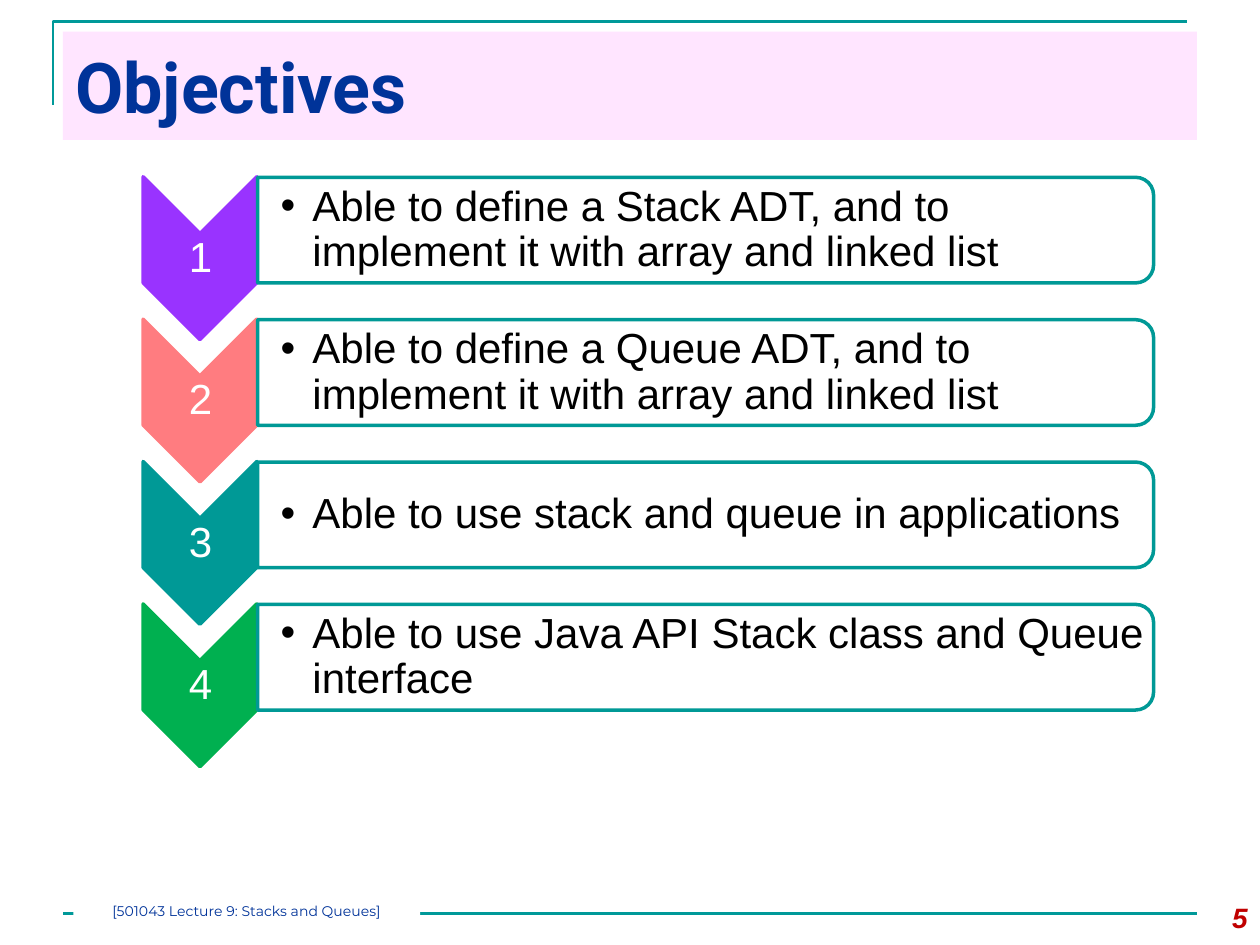
import pptx
import pptx.dml.color
import pptx.enum.shapes
import pptx.enum.text
import pptx.oxml
import pptx.oxml.ns
import pptx.util
from pptx.util import Cm

COLORS = {
    "teal": "009999", "panel line": "009996", "navy": "003399", "pink": "FF99FF",
    "red": "C00000", "white": "FFFFFF", "black": "000000",
}
GOALS = [
    ("9933FF", "Able to define a Stack ADT, and to implement it with array and linked list"),
    ("FF7C80", "Able to define a Queue ADT, and to implement it with array and linked list"),
    ("009996", "Able to use stack and queue in applications"),
    ("00B050", "Able to use Java API Stack class and Queue interface"),
]
STEP = 2.87
SHAPE = pptx.enum.shapes.MSO_SHAPE
ALIGN = pptx.enum.text.PP_ALIGN
ANCHOR = pptx.enum.text.MSO_ANCHOR
rgb = pptx.dml.color.RGBColor.from_string


def paint(shape, fill=None, opacity=100, line=None, width=2):
    shape.shadow.inherit = False
    if fill:
        shape.fill.solid()
        shape.fill.fore_color.rgb = rgb(fill)
        if opacity < 100:
            color = shape.fill._xPr.find(".//" + pptx.oxml.ns.qn("a:srgbClr"))
            alpha = pptx.oxml.parse_xml(f"<a:alpha {pptx.oxml.ns.nsdecls('a')} val='{opacity * 1000}'/>")
            color.append(alpha)
    else:
        shape.fill.background()
    if line:
        shape.line.color.rgb = rgb(line)
        shape.line.width = pptx.util.Pt(width)
    else:
        shape.line.fill.background()


def write(shape, text, size=24, font="Arial", color="black", bold=False, italic=False,
          align=ALIGN.LEFT, anchor=ANCHOR.TOP, insets=(0.25, 0.13, 0.25, 0.13),
          spacing=None, bullet=False):
    frame = shape.text_frame
    frame.word_wrap = True
    frame.vertical_anchor = anchor
    frame.margin_left, frame.margin_top, frame.margin_right, frame.margin_bottom = map(Cm, insets)
    paragraph = frame.paragraphs[0]
    paragraph.alignment = align
    paragraph.line_spacing = spacing
    run = paragraph.add_run()
    run.text = text
    run.font.size = pptx.util.Pt(size)
    run.font.name = font
    run.font.bold = bold
    run.font.italic = italic
    run.font.color.rgb = rgb(COLORS[color])
    if bullet:
        properties = paragraph._p.get_or_add_pPr()
        properties.set("marL", str(Cm(0.64)))
        properties.set("indent", str(-Cm(0.64)))
        names = pptx.oxml.ns.nsdecls("a")
        properties.append(pptx.oxml.parse_xml(f"<a:buFont {names} typeface='Arial'/>"))
        properties.append(pptx.oxml.parse_xml(f"<a:buChar {names} char='•'/>"))


deck = pptx.Presentation()
deck.slide_width, deck.slide_height = Cm(25.4), Cm(19.05)
slide = deck.slides.add_slide(deck.slide_layouts[6])
shapes = slide.shapes

# Corner rule and footer rule
corner = shapes.build_freeform(Cm(1.07), Cm(2.11))
corner.add_line_segments([(Cm(1.07), Cm(0.43)), (Cm(23.93), Cm(0.43))], close=False)
paint(corner.convert_to_shape(), line=COLORS["teal"], width=1.5)

footer_rule = shapes.add_connector(
    pptx.enum.shapes.MSO_CONNECTOR.STRAIGHT, Cm(1.27), Cm(18.42), Cm(24.13), Cm(18.42))
footer_rule.line.color.rgb = rgb(COLORS["teal"])
footer_rule.line.width = pptx.util.Pt(1.5)
footer_rule._element.spPr.append(
    pptx.oxml.parse_xml(f"<a:effectLst {pptx.oxml.ns.nsdecls('a')}/>"))

# Title band
title = shapes.add_shape(SHAPE.RECTANGLE, Cm(1.27), Cm(0.64), Cm(22.86), Cm(2.18))
paint(title, fill=COLORS["pink"], opacity=25)
write(title, "Objectives", size=40, font="Roboto", color="navy", bold=True, anchor=ANCHOR.MIDDLE)

# Page number and footer
page_number = shapes.add_textbox(Cm(23.7), Cm(18.03), Cm(1.7), Cm(1.02))
write(page_number, "5", size=16, color="red", bold=True, italic=True, align=ALIGN.RIGHT)

footer = shapes.add_shape(SHAPE.RECTANGLE, Cm(1.48), Cm(18.2), Cm(6.99), Cm(0.43))
paint(footer, fill=COLORS["white"])
write(footer, "[501043 Lecture 9: Stacks and Queues]", size=8, font="Montserrat",
      color="navy", align=ALIGN.CENTER, insets=(0, 0, 0, 0))

# Numbered objectives: chevron, number, panel, sentence
for index, (accent, sentence) in enumerate(GOALS):
    drop = index * STEP

    chevron = shapes.add_shape(SHAPE.CHEVRON, Cm(2.39), Cm(4.06 + drop), Cm(3.28), Cm(2.29))
    chevron.rotation = 90
    chevron.adjustments[0] = 0.5
    paint(chevron, fill=accent, line=accent)

    number = shapes.add_textbox(Cm(2.9), Cm(4.72 + drop), Cm(2.29), Cm(0.99))
    write(number, str(index + 1), color="white", align=ALIGN.CENTER, anchor=ANCHOR.MIDDLE,
          insets=(0.05, 0.05, 0.05, 0.05), spacing=0.9)

    panel = shapes.add_shape(SHAPE.ROUND_2_SAME_RECTANGLE,
                             Cm(13.16), Cm(drop - 4.39), Cm(2.13), Cm(18.06))
    panel.rotation = 90
    panel.adjustments[0] = 0.17
    panel.adjustments[1] = 0
    paint(panel, fill=COLORS["white"], opacity=90, line=COLORS["panel line"])

    goal = shapes.add_textbox(Cm(5.18), Cm(3.68 + drop), Cm(17.96), Cm(1.93))
    write(goal, sentence, anchor=ANCHOR.MIDDLE, insets=(0.48, 0.05, 0.05, 0.05),
          spacing=0.9, bullet=True)

deck.save("out.pptx")
